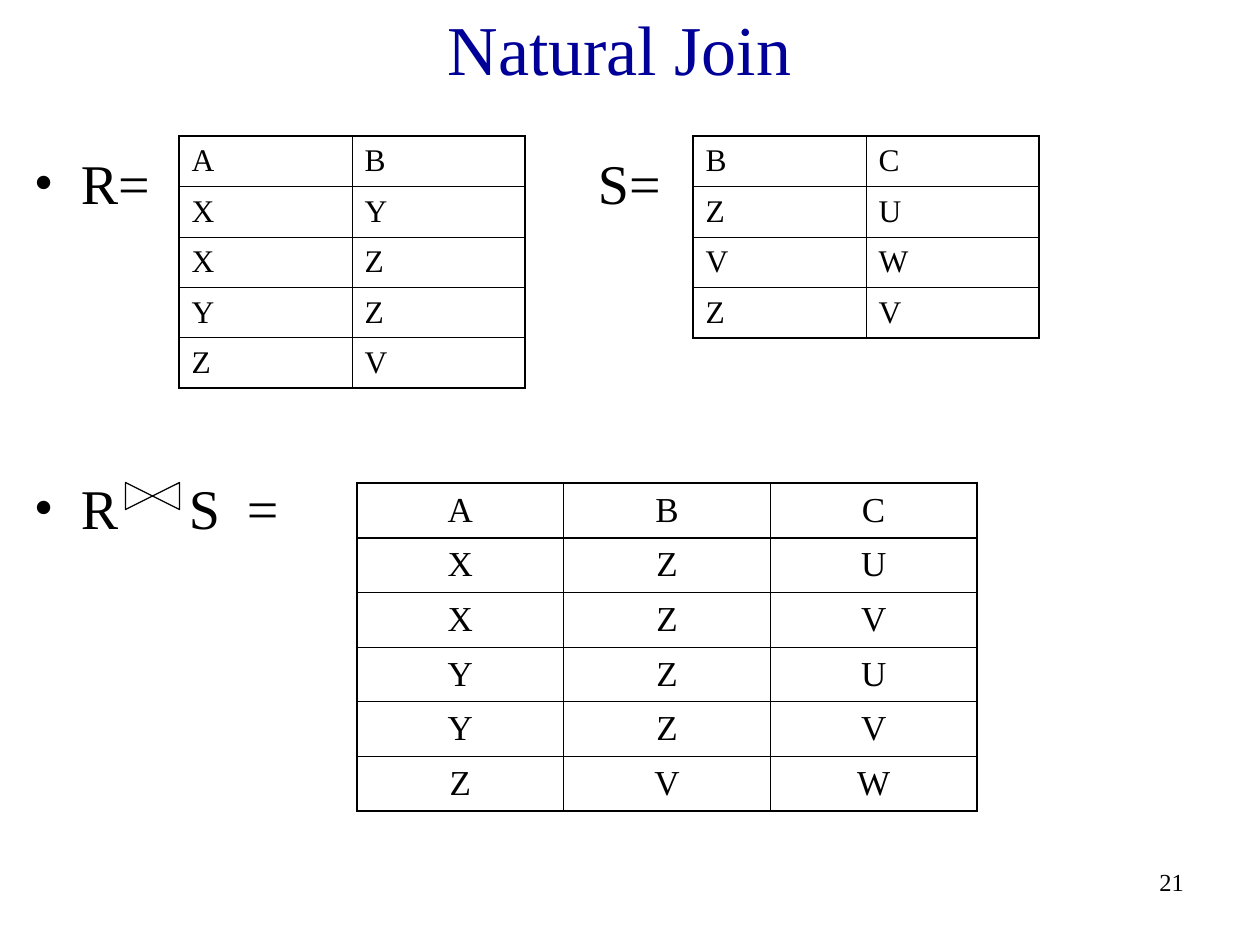
from lxml import etree
from pptx import Presentation
from pptx.dml.color import RGBColor
from pptx.enum.shapes import MSO_SHAPE
from pptx.enum.text import MSO_ANCHOR, PP_ALIGN
from pptx.oxml.ns import qn
from pptx.util import Inches, Pt

SCALE = Inches(10) / 1260
FONT = "Times New Roman"
BLACK = RGBColor(0x00, 0x00, 0x00)
NAVY = RGBColor(0x00, 0x00, 0x99)
LEFT, CENTER, RIGHT = PP_ALIGN.LEFT, PP_ALIGN.CENTER, PP_ALIGN.RIGHT
TOP, MIDDLE = MSO_ANCHOR.TOP, MSO_ANCHOR.MIDDLE
COLLATE = MSO_SHAPE.FLOWCHART_COLLATE
THICK, THIN = Pt(1.08), Pt(0.45)
BULLET_INDENT = 47


def px(length):
    return round(length * SCALE)


def write(paragraph, text, size, color=BLACK, align=LEFT):
    paragraph.alignment = align
    run = paragraph.add_run()
    run.text = text
    run.font.name = FONT
    run.font.size = Pt(size)
    run.font.color.rgb = color


def add_label(slide, box, text, size, color=BLACK, align=LEFT, anchor=TOP):
    frame = slide.shapes.add_textbox(*map(px, box)).text_frame
    frame.word_wrap = True
    frame.vertical_anchor = anchor
    frame.margin_left = frame.margin_right = 0
    frame.margin_top = frame.margin_bottom = 0
    write(frame.paragraphs[0], text, size, color, align)
    return frame.paragraphs[0]


def add_bullet(paragraph):
    properties = paragraph._p.get_or_add_pPr()
    properties.set("marL", str(px(BULLET_INDENT)))
    properties.set("indent", str(-px(BULLET_INDENT)))
    etree.SubElement(properties, qn("a:buFont")).set("typeface", FONT)
    etree.SubElement(properties, qn("a:buChar")).set("char", "•")


def set_borders(cell, widths):
    properties = cell._tc.get_or_add_tcPr()
    for side, width in zip("LRTB", widths):
        line = etree.SubElement(properties, qn(f"a:ln{side}"), w=str(width))
        fill = etree.SubElement(line, qn("a:solidFill"))
        etree.SubElement(fill, qn("a:srgbClr"), val=str(BLACK))


def add_relation(slide, box, rows, size, align=LEFT):
    left, top, width, height = map(px, box)
    row_count, column_count = len(rows), len(rows[0])
    relation = slide.shapes.add_table(
        row_count, column_count, left, top, width, height).table
    relation.horz_banding = False
    relation.first_row = False
    for column in relation.columns:
        column.width = width // column_count
    for row in relation.rows:
        row.height = height // row_count
    for r, values in enumerate(rows):
        for c, value in enumerate(values):
            cell = relation.cell(r, c)
            cell.vertical_anchor = MIDDLE
            write(cell.text_frame.paragraphs[0], value, size, align=align)
            heavy_sides = (c == 0, c == column_count - 1,
                           r <= 1, r in (0, row_count - 1))
            set_borders(cell, [THICK if heavy else THIN for heavy in heavy_sides])
            cell.fill.background()


def add_operands(slide, box):
    left, top, width, height = box
    add_bullet(add_label(slide, (left, top + 13, 140, 65), "R=", 32))
    add_label(slide, (left + 564, top + 13, 90, 65), "S=", 32)
    add_relation(slide, (left + 145, top, 346, height),
                 ["AB", "XY", "XZ", "YZ", "ZV"], 18)
    add_relation(slide, (left + 659, top, 346, height * 4 // 5),
                 ["BC", "ZU", "VW", "ZV"], 18)


def add_join(slide, box):
    left, top, width, height = box
    add_bullet(add_label(slide, (left, top - 9, 90, 65), "R", 32))
    add_label(slide, (left + 155, top - 9, 40, 65), "S", 32)
    add_label(slide, (left + 213, top - 9, 40, 65), "=", 32)
    join_sign = slide.shapes.add_shape(
        COLLATE, px(left + 105), px(top - 14), px(27), px(54))
    join_sign.rotation = 270
    join_sign.shadow.inherit = False
    join_sign.fill.background()
    join_sign.line.color.rgb = BLACK
    join_sign.line.width = Pt(0.75)
    add_relation(slide, (left + 323, top, width - 323, height),
                 ["ABC", "XZU", "XZV", "YZU", "YZV", "ZVW"], 20, CENTER)


def main():
    presentation = Presentation()
    presentation.slide_width = px(1260)
    presentation.slide_height = px(945)
    slide = presentation.slides.add_slide(presentation.slide_layouts[6])
    add_label(slide, (21, 0, 1197, 95), "Natural Join", 40, NAVY, CENTER, MIDDLE)
    add_operands(slide, (34, 136, 1005, 252))
    add_join(slide, (34, 483, 943, 328))
    add_label(slide, (935, 867, 249, 50), "21", 14, align=RIGHT)
    presentation.save("out.pptx")


if __name__ == "__main__":
    main()
